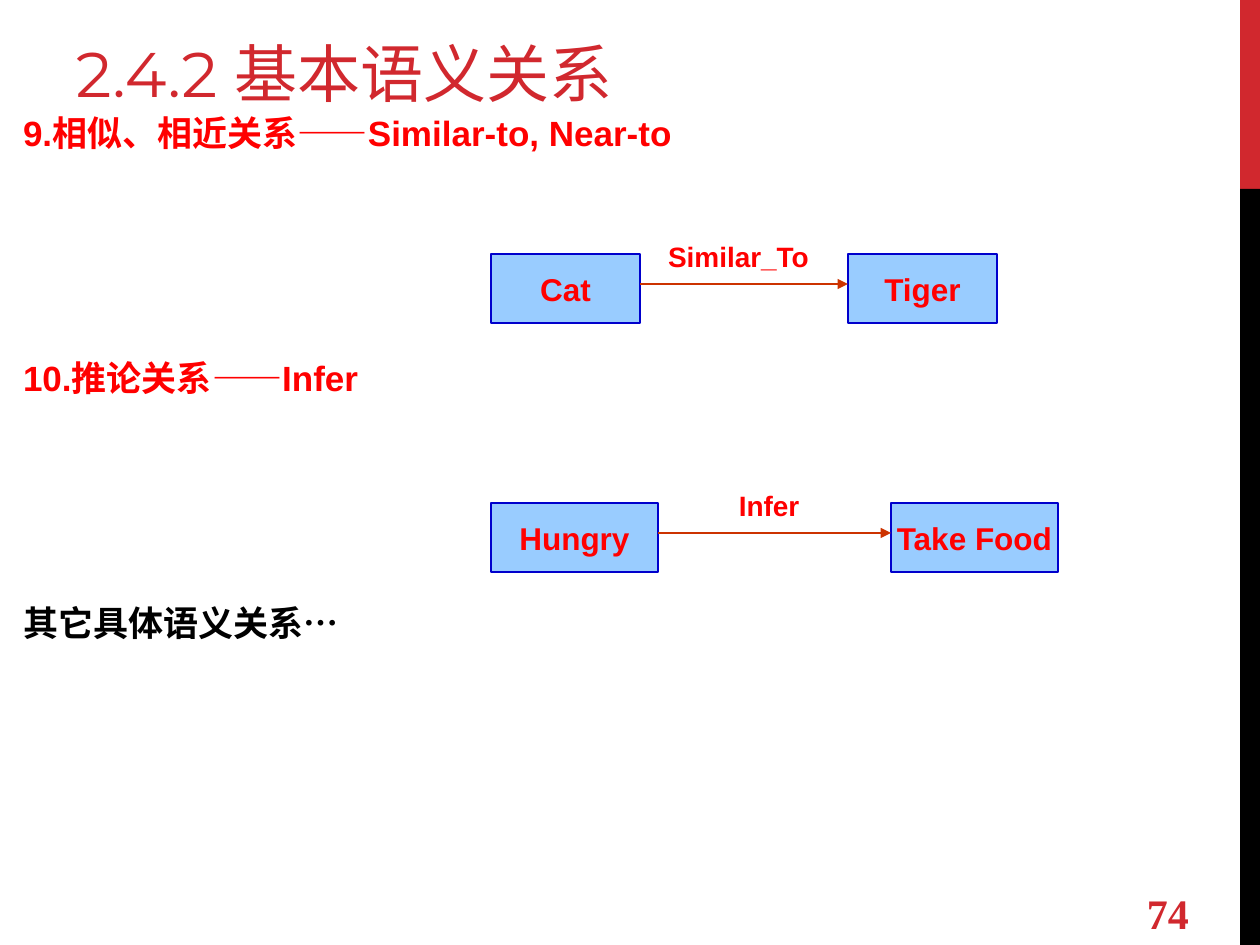
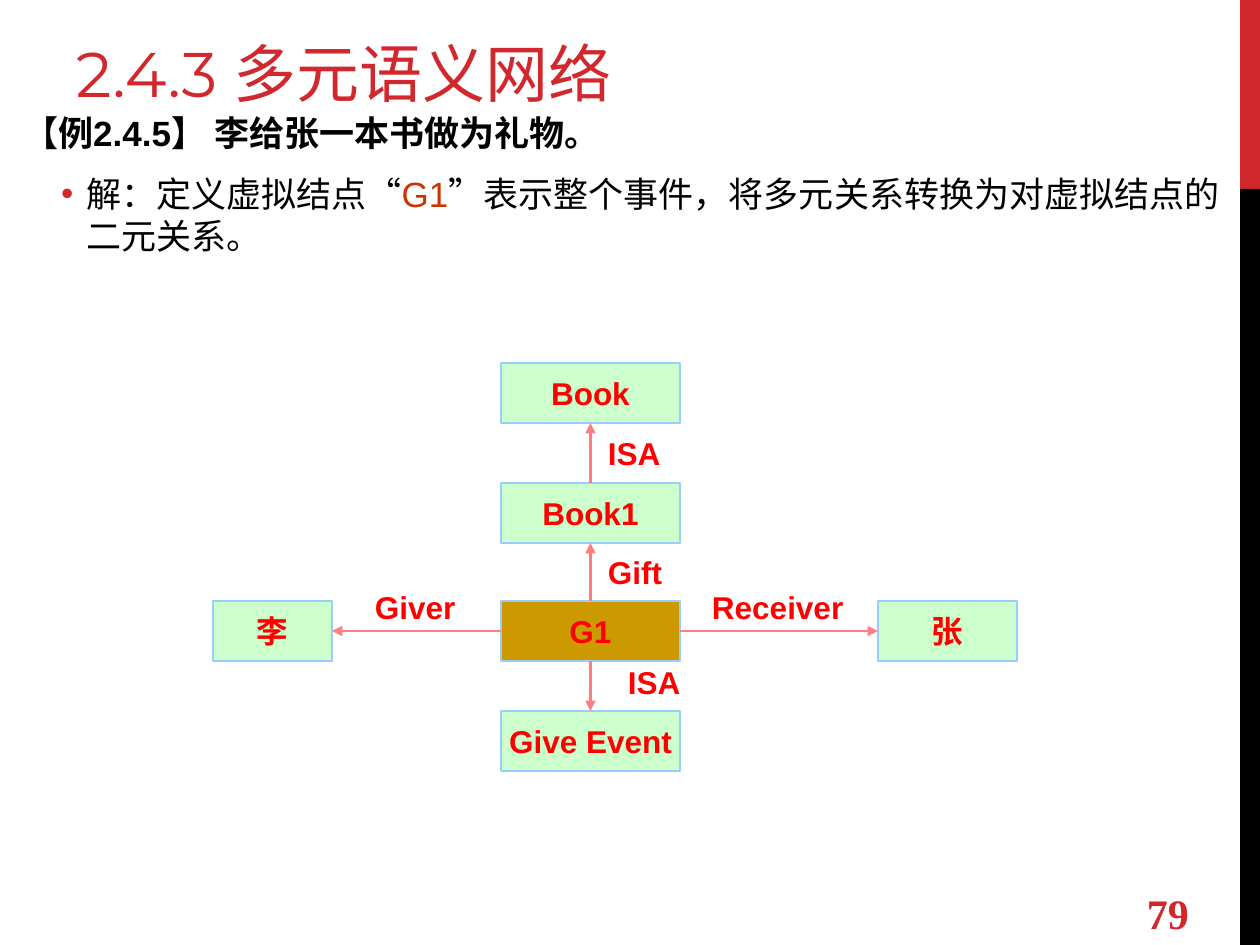
from lxml import etree
from pptx import Presentation
from pptx.dml.color import RGBColor
from pptx.enum.shapes import MSO_CONNECTOR, MSO_SHAPE
from pptx.enum.text import MSO_ANCHOR, PP_ALIGN
from pptx.oxml.ns import qn
from pptx.util import Emu, Pt

RECTANGLE = MSO_SHAPE.RECTANGLE
STRAIGHT = MSO_CONNECTOR.STRAIGHT
LEFT, CENTER = PP_ALIGN.LEFT, PP_ALIGN.CENTER
TOP, MIDDLE, BOTTOM = MSO_ANCHOR.TOP, MSO_ANCHOR.MIDDLE, MSO_ANCHOR.BOTTOM
SIDE_TOP, SIDE_LEFT, SIDE_BOTTOM, SIDE_RIGHT = range(4)

CRIMSON = RGBColor(0xD1, 0x28, 0x2E)
BLACK = RGBColor(0, 0, 0)
RED = RGBColor(0xFF, 0, 0)
RUST = RGBColor(0xCC, 0x33, 0)
PINK = RGBColor(0xFF, 0x7C, 0x80)
SKY = RGBColor(0x99, 0xCC, 0xFF)
NAVY = RGBColor(0, 0, 0xCC)
MINT = RGBColor(0xCC, 0xFF, 0xCC)
GOLD = RGBColor(0xCC, 0x99, 0)

SANS, SERIF, TITLE_FONT = "Arial", "Times New Roman", "Montserrat"
PX = 914400 / 126


def px(length):
    return Emu(round(length * PX))


def add_text(page, text, left, top, width, height, *, size=18, font=SANS, color=RED,
             bold=True, align=LEFT, anchor=TOP, inset=(13, 6), fill=None, line=None):
    """Add a text box, or a rectangle if fill is given.

    text is a string, or a list of paragraphs, each a list of (text, overrides) spans.
    """
    place = [px(length) for length in (left, top, width, height)]
    if fill is None:
        box = page.shapes.add_textbox(*place)
    else:
        box = page.shapes.add_shape(RECTANGLE, *place)
        box.shadow.inherit = False
        box.fill.solid()
        box.fill.fore_color.rgb = fill
        box.line.color.rgb = line
        box.line.width = Pt(0.75)
    frame = box.text_frame
    frame.word_wrap = fill is None
    frame.vertical_anchor = anchor
    frame.margin_left = frame.margin_right = px(inset[0])
    frame.margin_top = frame.margin_bottom = px(inset[1])
    paragraphs = [[(text, {})]] if isinstance(text, str) else text
    for index, spans in enumerate(paragraphs):
        para = frame.add_paragraph() if index else frame.paragraphs[0]
        para.alignment = align
        for words, overrides in spans:
            span = para.add_run()
            span.text = words
            span.font.size = Pt(size)
            span.font.name = overrides.get("font", font)
            span.font.bold = overrides.get("bold", bold)
            span.font.color.rgb = overrides.get("color", color)
    return box


def add_arrow(page, color, start_x, start_y, end_x, end_y):
    arrow = page.shapes.add_connector(STRAIGHT, px(start_x), px(start_y), px(end_x), px(end_y))
    arrow.line.color.rgb = color
    arrow.line.width = Pt(1.5)
    etree.SubElement(arrow.line._get_or_add_ln(), qn("a:tailEnd"), type="triangle")
    etree.SubElement(arrow._element.spPr, qn("a:effectLst"))
    return arrow


deck = Presentation()
deck.slide_width, deck.slide_height = px(1260), px(945)

# Side band, title and page number
pages = []
for title, number in (("2.4.2 基本语义关系", "74"), ("2.4.3 多元语义网络", "79")):
    page = deck.slides.add_slide(deck.slide_layouts[6])
    for top, height, color in ((0, 189, CRIMSON), (189, 756, BLACK)):
        band = page.shapes.add_shape(RECTANGLE, px(1240), px(top), px(20), px(height))
        band.shadow.inherit = False
        band.fill.solid()
        band.fill.fore_color.rgb = color
        band.line.fill.background()
    add_text(page, title, 63, 21, 798, 95, size=36, font=TITLE_FONT, color=CRIMSON,
             bold=False, anchor=BOTTOM)
    add_text(page, number, 1134, 888, 126, 50, size=24, font=SERIF, color=CRIMSON,
             anchor=MIDDLE)
    pages.append(page)
relations_page, network_page = pages

# Basic relations: one heading every 245 px
serif = {"font": SERIF}
headings = [
    [("9.相似、相近关系", {}), ("——", serif), ("Similar-to, Near-to", {})],
    [("10.推论关系", {}), ("——", serif), ("Infer", {})],
    [("其它具体语义关系", {"color": BLACK}), ("…", {"font": SERIF, "color": BLACK})],
]
for index, heading in enumerate(headings):
    add_text(relations_page, [heading], 10, 105 + 245 * index, 1239, 55, size=20)

relations = [
    ("Cat", "Similar_To", "Tiger", 254, 149, 848),
    ("Hungry", "Infer", "Take Food", 503, 167, 891),
]
for source, relation, target, top, width, target_left in relations:
    source_left = 491
    source_right = source_left + width
    for name, left in ((source, source_left), (target, target_left)):
        add_text(relations_page, name, left, top, width, 69, align=CENTER, anchor=MIDDLE,
                 fill=SKY, line=NAVY)
    add_arrow(relations_page, RUST, source_right, top + 30, target_left, top + 30)
    label_left = source_right - 11
    add_text(relations_page, relation, label_left, top - 20, target_left - label_left, 47,
             size=16, align=CENTER)

# Example with a virtual node
example = add_text(network_page, [
    [("【例2.4.5】 李给张一本书做为礼物。", {"bold": True})],
    [("解：定义虚拟结点", {}), ("“", serif), ("G1", {"color": RUST}), ("”", serif),
     ("表示整个事件，将多元关系转换为对虚拟结点的二元关系。", {})],
], 10, 105, 1239, 181, size=20, color=BLACK, bold=False)
statement, solution = example.text_frame.paragraphs
statement.space_after = Pt(6)
solution.space_before = Pt(5)
bullet = solution._p.get_or_add_pPr()
bullet.set("marL", str(px(63)))
bullet.set("indent", str(-px(25)))
bullet_color = etree.SubElement(bullet, qn("a:buClr"))
etree.SubElement(bullet_color, qn("a:srgbClr"), val=str(CRIMSON))
etree.SubElement(bullet, qn("a:buFont"), typeface=SANS)
etree.SubElement(bullet, qn("a:buChar"), char="•")

nodes = {}
for name, left, top, width, fill in (
    ("Book", 501, 363, 179, MINT),
    ("Book1", 501, 483, 179, MINT),
    ("G1", 501, 601, 179, GOLD),
    ("Give Event", 501, 711, 179, MINT),
    ("李", 213, 601, 119, MINT),
    ("张", 878, 601, 139, MINT),
):
    nodes[name] = add_text(network_page, name, left, top, width, 60, align=CENTER,
                           anchor=MIDDLE, fill=fill, line=SKY)

for source, source_side, target, target_side in (
    ("Book1", SIDE_TOP, "Book", SIDE_BOTTOM),
    ("G1", SIDE_TOP, "Book1", SIDE_BOTTOM),
    ("G1", SIDE_BOTTOM, "Give Event", SIDE_TOP),
    ("G1", SIDE_LEFT, "李", SIDE_RIGHT),
    ("G1", SIDE_RIGHT, "张", SIDE_LEFT),
):
    arrow = add_arrow(network_page, PINK, 0, 0, 0, 0)
    arrow.begin_connect(nodes[source], source_side)
    arrow.end_connect(nodes[target], target_side)

for relation, left, top, width, height, inset in (
    ("ISA", 600, 433, 100, 40, (8, 1)),
    ("Gift", 600, 552, 100, 40, (8, 1)),
    ("ISA", 620, 662, 139, 40, (8, 1)),
    ("Giver", 362, 582, 118, 50, (13, 6)),
    ("Receiver", 699, 582, 159, 50, (13, 6)),
):
    add_text(network_page, relation, left, top, width, height, inset=inset)

deck.save("out.pptx")
